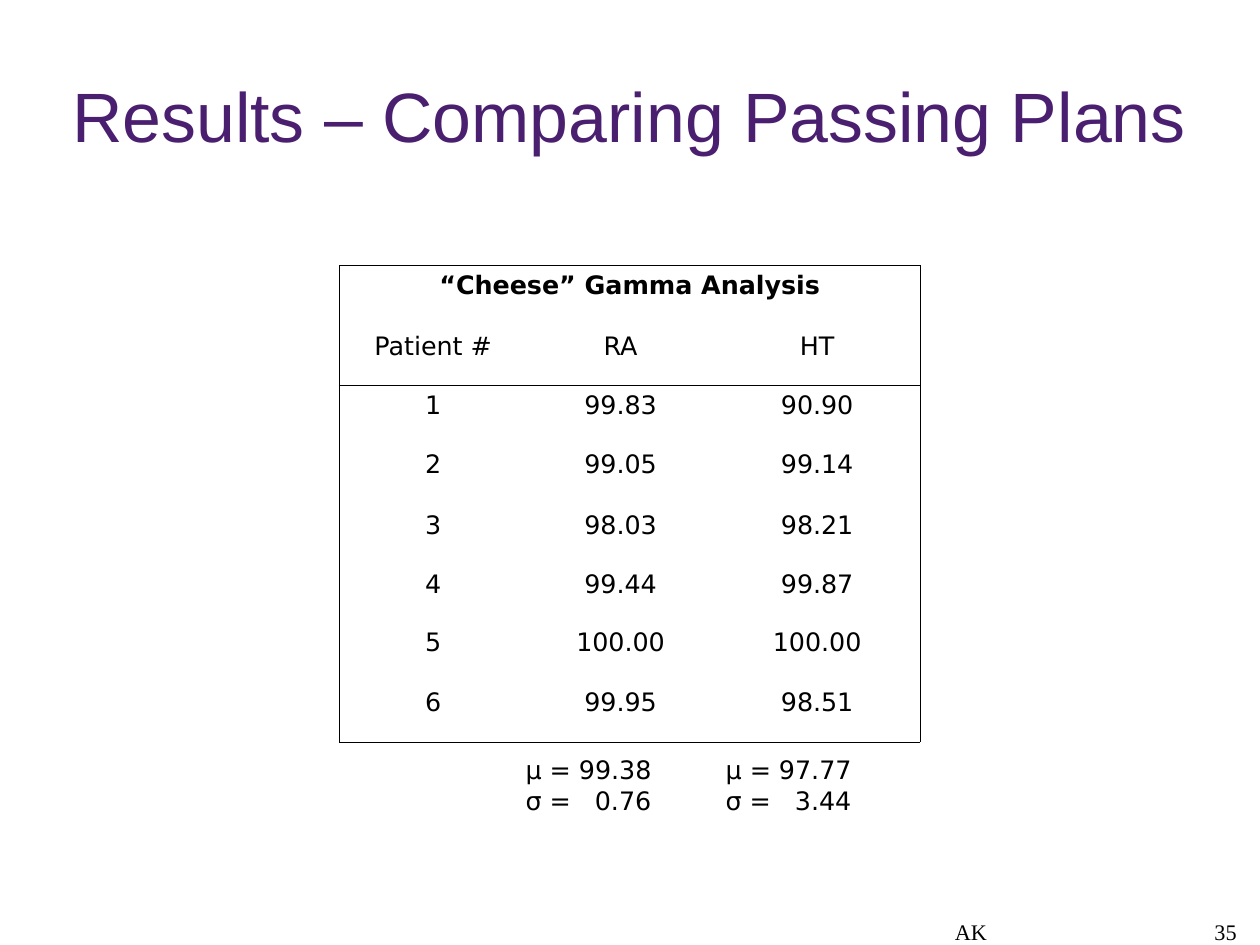
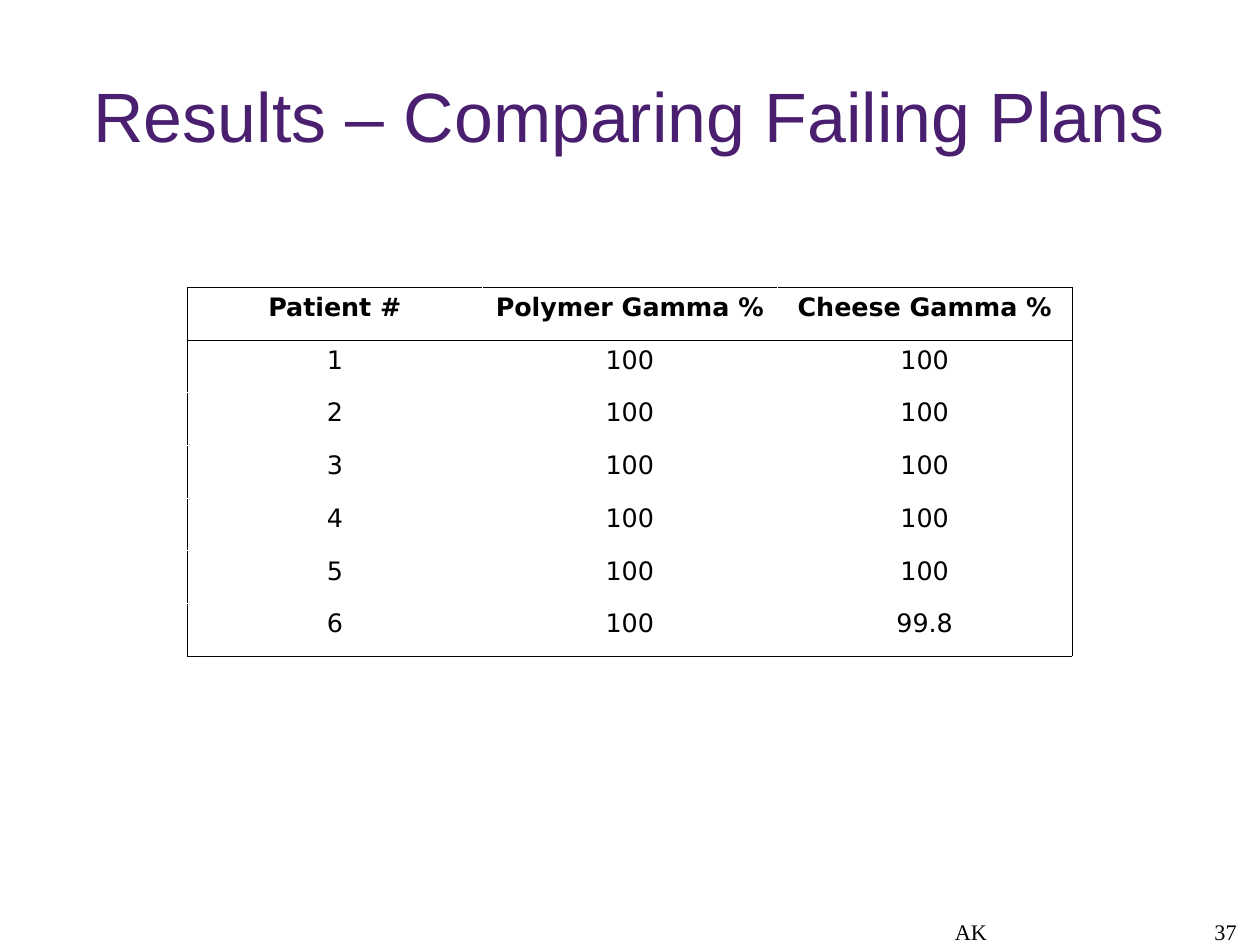
from dataclasses import dataclass
from typing import Optional

from lxml.etree import SubElement
from pptx import Presentation
from pptx.dml.color import RGBColor
from pptx.enum.text import MSO_ANCHOR, MSO_AUTO_SIZE, PP_ALIGN
from pptx.oxml.ns import qn
from pptx.util import Inches, Pt


@dataclass(frozen=True)
class Theme:
    title_color: str = "4B1F6F"
    ink: str = "000000"
    paper: str = "FFFFFF"
    title_font: str = "Arial"
    body_font: str = "DejaVu Sans"
    footer_font: str = "Times New Roman"
    title_size: float = 44
    body_size: float = 16
    footer_size: float = 14
    rule_width: float = 0.06


@dataclass(frozen=True)
class Box:
    left: float
    top: float
    width: float
    height: float

    def emu(self) -> tuple:
        return tuple(Inches(v) for v in (self.left, self.top, self.width, self.height))


@dataclass(frozen=True)
class ResultTable:
    left: float
    top: float
    cols: tuple
    rows: tuple
    cells: tuple
    header_rows: int
    inner: Optional[str]  # colour of the inner rules, None for no rule


@dataclass(frozen=True)
class Summary:
    box: Box
    mean: str
    deviation: str


THEME = Theme()
CM_PER_INCH = 2.54
SLIDE_CM = (28, 21)
TITLE_BOX = Box(0.55, 0.33, 9.92, 1.38)
AUTHOR_BOX = Box(6.75, 7.7, 3.49, 0.57)
NUMBER_BOX = Box(8.25, 7.7, 2.57, 0.57)

PASSING = ResultTable(
    left=2.97, top=2.32,
    cols=(1.64, 1.64, 1.8),
    rows=(0.53, 0.52, 0.52, 0.53, 0.52, 0.5, 0.53, 0.52),
    cells=(
        ("“Cheese” Gamma Analysis",),
        ("Patient #", "RA", "HT"),
        ("1", "99.83", "90.90"),
        ("2", "99.05", "99.14"),
        ("3", "98.03", "98.21"),
        ("4", "99.44", "99.87"),
        ("5", "100.00", "100.00"),
        ("6", "99.95", "98.51"),
    ),
    header_rows=2, inner=None,
)
SUMMARIES = (
    Summary(Box(4.5, 6.55, 1.45, 0.64), "99.38", "0.76"),
    Summary(Box(6.25, 6.55, 1.42, 0.64), "97.77", "3.44"),
)
FAILING = ResultTable(
    left=1.64, top=2.51,
    cols=(7.74 / 3,) * 3,
    rows=(3.23 / 7,) * 7,
    cells=(
        ("Patient #", "Polymer Gamma %", "Cheese Gamma %"),
        *((str(n), "100", "99.8" if n == 6 else "100") for n in range(1, 7)),
    ),
    header_rows=1, inner=THEME.paper,
)


def add_run(p, text: str, font: str, size: float, color: str = THEME.ink,
            bold: bool = False) -> None:
    r = p.add_run()
    r.text = text
    r.font.name, r.font.size, r.font.bold = font, Pt(size), bold
    r.font.color.rgb = RGBColor.from_string(color)


def set_frame(tf, anchor, margins: tuple) -> None:
    tf.word_wrap = True
    tf.auto_size = MSO_AUTO_SIZE.NONE
    tf.vertical_anchor = anchor
    tf.margin_left, tf.margin_top, tf.margin_right, tf.margin_bottom = map(Inches, margins)


def add_footer(s, box: Box, text: str, align) -> None:
    tf = s.shapes.add_textbox(*box.emu()).text_frame
    set_frame(tf, MSO_ANCHOR.BOTTOM, (0, 0, 0, 0))
    p = tf.paragraphs[0]
    p.alignment, p.line_spacing = align, 0.95
    add_run(p, text, THEME.footer_font, THEME.footer_size)


def add_slide(prs, title: str, number: int):
    """Title, author and slide number, alike on every slide."""
    s = prs.slides.add_slide(prs.slide_layouts[5])
    sp = s.shapes.title
    sp.left, sp.top, sp.width, sp.height = TITLE_BOX.emu()
    set_frame(sp.text_frame, MSO_ANCHOR.MIDDLE, (0, 0.04, 0, 0))
    p = sp.text_frame.paragraphs[0]
    p.alignment, p.line_spacing = PP_ALIGN.CENTER, 0.93
    add_run(p, title, THEME.title_font, THEME.title_size, THEME.title_color)
    add_footer(s, AUTHOR_BOX, "AK", PP_ALIGN.CENTER)
    add_footer(s, NUMBER_BOX, str(number), PP_ALIGN.RIGHT)
    return s


def set_borders(cell, colors: dict) -> None:
    """Put the four rules ahead of the fill, in schema order."""
    tc_pr = cell._tc.get_or_add_tcPr()
    for i, (side, color) in enumerate(colors.items()):
        ln = SubElement(tc_pr, qn(f"a:ln{side}"), w=str(Pt(THEME.rule_width)))
        if color is None:
            SubElement(ln, qn("a:noFill"))
        else:
            SubElement(SubElement(ln, qn("a:solidFill")), qn("a:srgbClr"), val=color)
        tc_pr.insert(i, ln)


def add_results(s, results: ResultTable) -> None:
    n_rows, n_cols = len(results.rows), len(results.cols)
    box = Box(results.left, results.top, sum(results.cols), sum(results.rows))
    table = s.shapes.add_table(n_rows, n_cols, *box.emu()).table
    table.first_row = table.horz_banding = False
    for col, width in zip(table.columns, results.cols):
        col.width = Inches(width)
    for row, height in zip(table.rows, results.rows):
        row.height = Inches(height)

    for i, texts in enumerate(results.cells):
        if len(texts) == 1:
            table.cell(i, 0).merge(table.cell(i, n_cols - 1))
        for j in range(n_cols):
            cell = table.cell(i, j)
            cell.fill.solid()
            cell.fill.fore_color.rgb = RGBColor.from_string(THEME.paper)
            last = j + (cell.span_width if cell.is_merge_origin else 1)
            # Black around the table and below the header
            ruled = {
                "L": j == 0,
                "R": last == n_cols,
                "T": i in (0, results.header_rows),
                "B": i + 1 in (results.header_rows, n_rows),
            }
            set_borders(cell, {side: THEME.ink if on else results.inner
                               for side, on in ruled.items()})
            if j < len(texts):
                p = cell.text_frame.paragraphs[0]
                p.alignment, p.line_spacing = PP_ALIGN.CENTER, 1.01
                add_run(p, texts[j], THEME.body_font, THEME.body_size, bold=i == 0)


def add_summary(s, summary: Summary) -> None:
    tf = s.shapes.add_textbox(*summary.box.emu()).text_frame
    set_frame(tf, MSO_ANCHOR.TOP, (0.1, 0.05, 0.1, 0.05))
    # The deviation ends below the mean, on a right tab
    lines = (f"μ = {summary.mean}", f"σ =\t{summary.deviation}")
    for i, text in enumerate(lines):
        p = tf.add_paragraph() if i else tf.paragraphs[0]
        p.line_spacing = 1.01
        tabs = SubElement(p._p.get_or_add_pPr(), qn("a:tabLst"))
        SubElement(tabs, qn("a:tab"), pos=str(Inches(1.1)), algn="r")
        add_run(p, text, THEME.body_font, THEME.body_size)


def main() -> None:
    prs = Presentation()
    prs.slide_width, prs.slide_height = (Inches(v / CM_PER_INCH) for v in SLIDE_CM)

    # Passing plans
    s = add_slide(prs, "Results – Comparing Passing Plans", 35)
    add_results(s, PASSING)
    for summary in SUMMARIES:
        add_summary(s, summary)

    # Failing plans
    s = add_slide(prs, "Results – Comparing Failing Plans", 37)
    add_results(s, FAILING)

    prs.save("out.pptx")


if __name__ == "__main__":
    main()
